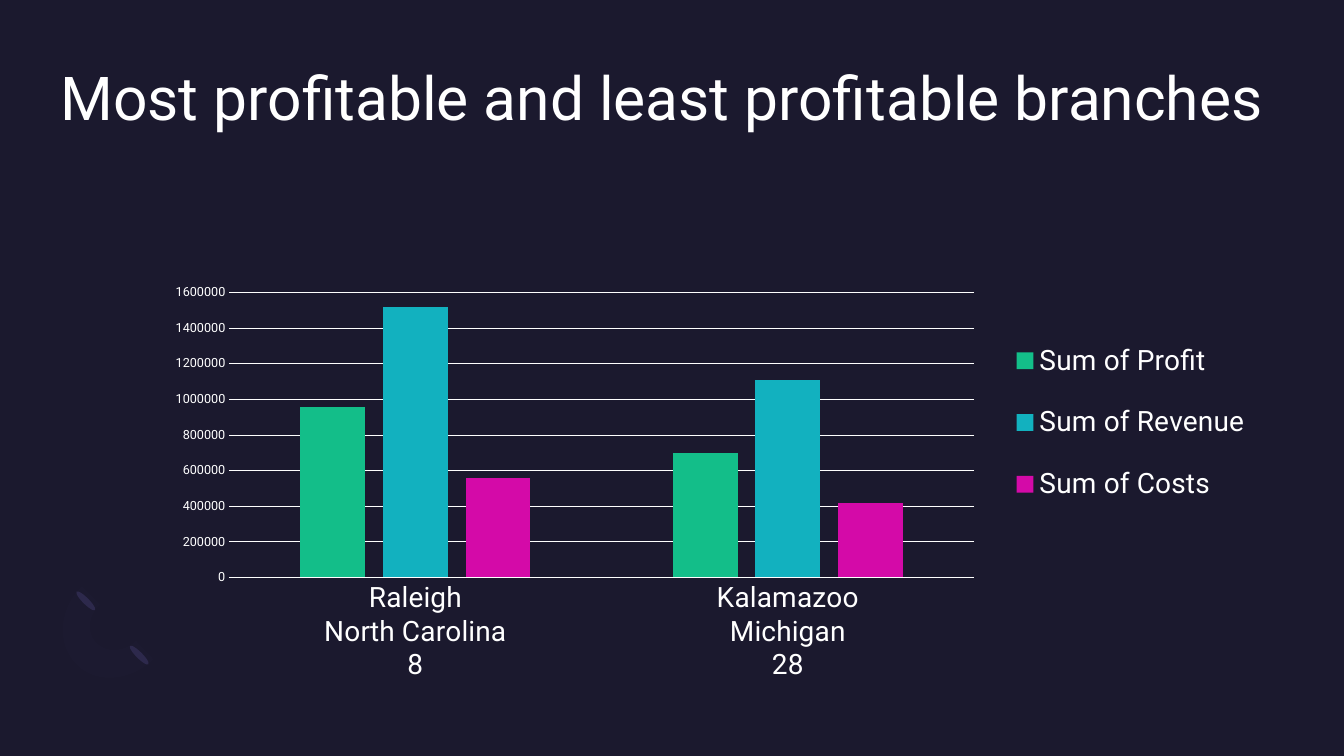
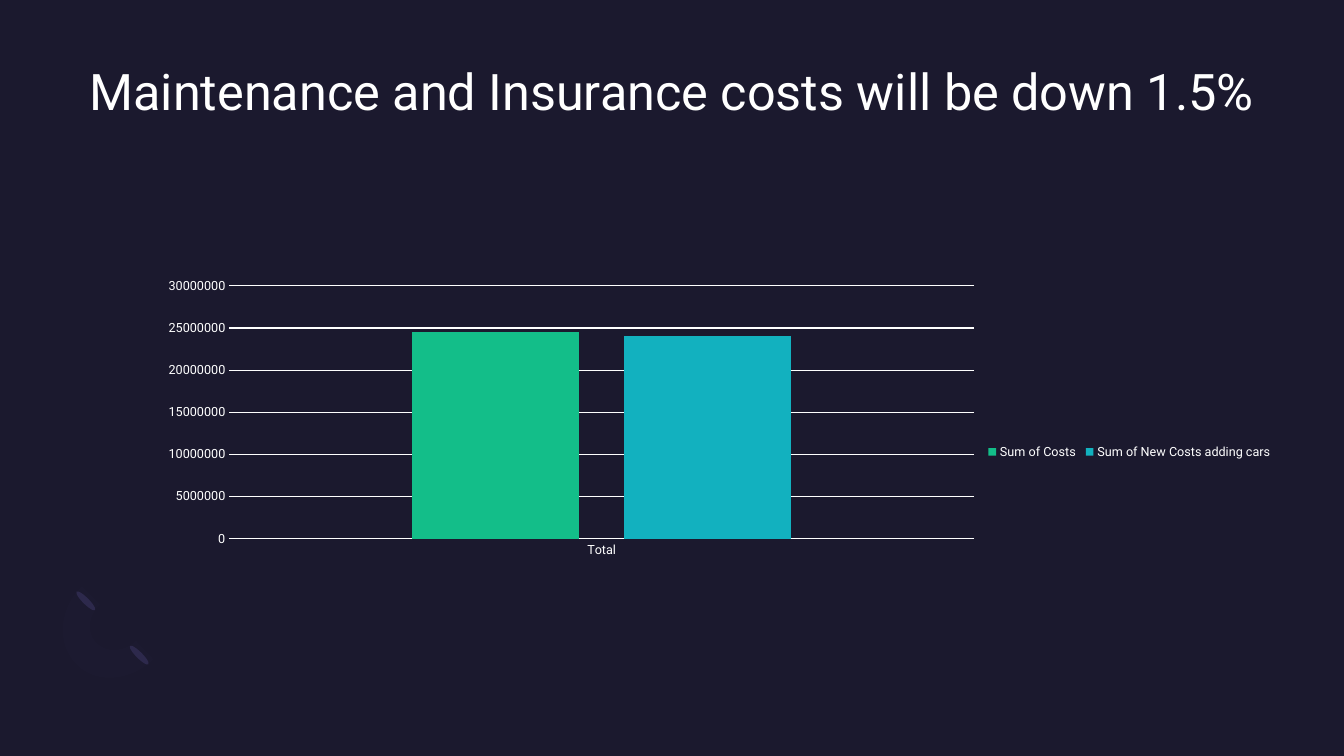
from lxml import etree
from pptx import Presentation
from pptx.chart import data
from pptx.dml.color import RGBColor
from pptx.enum import chart as charts, shapes, text
from pptx.oxml import ns
from pptx.util import Pt

COLORS = {key: RGBColor.from_string(value) for key, value in {
    "night": "1B192E", "white": "FFFFFF", "petal": "2C284A", "haze": "7771B2",
    "green": "13BE89", "teal": "12B1BF", "magenta": "D40AA8"}.items()}
SERIES_COLORS = ["green", "teal", "magenta"]
FONT = "Roboto"
MARGIN, CONTENT_WIDTH = 43.2, 873.6
PLOT_BOX = (0.138, 0.121, 0.609, 0.577)

PAGES = [
    {"title": "Most profitable and least profitable branches",
     "title_size": 43.2, "align": text.PP_ALIGN.LEFT,
     "height": 352.8, "label_size": 20, "legend_box": (0.775, 0.168, 0.2, 0.432),
     "top_value": 1600000, "step": 200000,
     "categories": ["Raleigh\nNorth Carolina\n8", "Kalamazoo\nMichigan\n28"],
     "series": {"Sum of Profit": (960000, 700000),
                "Sum of Revenue": (1520000, 1110000),
                "Sum of Costs": (560000, 420000)}},
    {"title": "Maintenance and Insurance costs will be down 1.5%",
     "title_size": 36, "align": text.PP_ALIGN.CENTER,
     "height": 313.2, "label_size": 9, "legend_box": (0.754, 0.46, 0.24, 0.08),
     "top_value": 30000000, "step": 5000000,
     "categories": ["Total"],
     "series": {"Sum of Costs": (24500000,),
                "Sum of New Costs adding cars": (24100000,)}},
]


def style_font(font, size):
    """Set the shared typeface and colour at the given point size."""
    font.name, font.size = FONT, Pt(size)
    font.color.rgb = COLORS["white"]


def set_layout(part, index, box, inner=False):
    """Give a chart part a fixed place, as fractions of the chart area."""
    for old in part.findall(ns.qn("c:layout")):
        part.remove(old)
    layout = etree.Element(ns.qn("c:layout"))
    manual = etree.SubElement(layout, ns.qn("c:manualLayout"))
    settings = [("layoutTarget", "inner")] if inner else []
    settings += [("xMode", "edge"), ("yMode", "edge"), *zip("xywh", box)]
    for tag, value in settings:
        etree.SubElement(manual, ns.qn(f"c:{tag}")).set("val", str(value))
    part.insert(index, layout)


deck = Presentation()
deck.slide_width, deck.slide_height = Pt(960), Pt(540)
backdrop = deck.slide_master.background.fill
backdrop.solid()
backdrop.fore_color.rgb = COLORS["night"]

# Shared title position
page_layout = deck.slide_layouts[5]
for holder in list(page_layout.placeholders):
    if holder.placeholder_format.idx != 0:
        holder.element.getparent().remove(holder.element)
        continue
    holder.left, holder.top = Pt(MARGIN), Pt(MARGIN)
    holder.width, holder.height = Pt(CONTENT_WIDTH), Pt(105)
    frame = holder.text_frame
    frame.margin_left = frame.margin_right = frame.margin_top = frame.margin_bottom = 0
    frame.vertical_anchor = text.MSO_ANCHOR.TOP
    frame.word_wrap = True

slides = [deck.slides.add_slide(page_layout) for page in PAGES]

# Corner ornament: two petals joined by a faint crescent, kept on the layout
canvas = slides[0].shapes
ornament = []
for left, top in [(97.2, 458.6), (59, 419.8)]:
    petal = canvas.add_shape(shapes.MSO_SHAPE.OVAL, Pt(left), Pt(top), Pt(4.5), Pt(18.7))
    petal.rotation = 135
    ornament.append((petal, "petal"))

crescent_curves = [
    [(54.7, 474.5), (40.3, 460.1), (41.8, 435.6), (58.3, 419)],
    [(71.3, 432), (62.6, 439.9), (61.9, 452.9), (69.1, 459.4)],
    [(69.1, 459.4), (76.3, 466.6), (88.6, 465.8), (97.2, 457.9)],
    [(109.4, 470.9), (93.6, 486.7), (68.4, 488.9), (54.7, 474.5)],
]
outline = []
for curve in crescent_curves:
    for step in range(13):
        t = step / 12
        weights = [(1 - t) ** 3, 3 * t * (1 - t) ** 2, 3 * t * t * (1 - t), t ** 3]
        outline.append(tuple(Pt(sum(w * point[axis] for w, point in zip(weights, curve)))
                             for axis in (0, 1)))
builder = canvas.build_freeform(*outline[0], scale=1.0)
builder.add_line_segments(outline[1:], close=True)
crescent = builder.convert_to_shape()
ornament.append((crescent, "haze"))

for piece, color in ornament:
    piece.shadow.inherit = False
    piece.fill.solid()
    piece.fill.fore_color.rgb = COLORS[color]
    piece.line.fill.background()
haze_color = crescent.element.xpath(".//a:srgbClr")[0]
etree.SubElement(haze_color, ns.qn("a:alpha")).set("val", "2000")
for piece, color in ornament:
    page_layout.shapes.element.append(piece.element)

# Title and chart of each slide
for slide, page in zip(slides, PAGES):
    heading = slide.shapes.title.text_frame.paragraphs[0]
    heading.alignment = page["align"]
    run = heading.add_run()
    run.text = page["title"]
    style_font(run.font, page["title_size"])

    figures = data.CategoryChartData()
    figures.categories = page["categories"]
    for name, values in page["series"].items():
        figures.add_series(name, values)
    chart = slide.shapes.add_chart(
        charts.XL_CHART_TYPE.COLUMN_CLUSTERED, Pt(MARGIN), Pt(166.3),
        Pt(CONTENT_WIDTH), Pt(page["height"]), figures).chart
    style_font(chart.font, 10)
    chart.has_title = False

    columns = chart.plots[0]
    columns.gap_width, columns.overlap = 219, -27
    columns.vary_by_categories = False
    for series, color in zip(columns.series, SERIES_COLORS):
        series.format.fill.solid()
        series.format.fill.fore_color.rgb = COLORS[color]

    branches, amounts = chart.category_axis, chart.value_axis
    for axis, size in [(branches, page["label_size"]), (amounts, 9)]:
        axis.major_tick_mark = axis.minor_tick_mark = charts.XL_TICK_MARK.NONE
        style_font(axis.tick_labels.font, size)
    amounts.minimum_scale, amounts.maximum_scale = 0, page["top_value"]
    amounts.major_unit = page["step"]
    amounts.format.line.fill.background()
    for line in (branches.format.line, amounts.major_gridlines.format.line):
        line.color.rgb = COLORS["white"]
        line.width = Pt(0.75)

    chart.has_legend = True
    chart.legend.position = charts.XL_LEGEND_POSITION.RIGHT
    chart.legend.include_in_layout = False
    style_font(chart.legend.font, page["label_size"])
    set_layout(chart.element.xpath(".//c:plotArea")[0], 0, PLOT_BOX, inner=True)
    set_layout(chart.element.xpath(".//c:legend")[0], 1, page["legend_box"])

deck.save("out.pptx")
